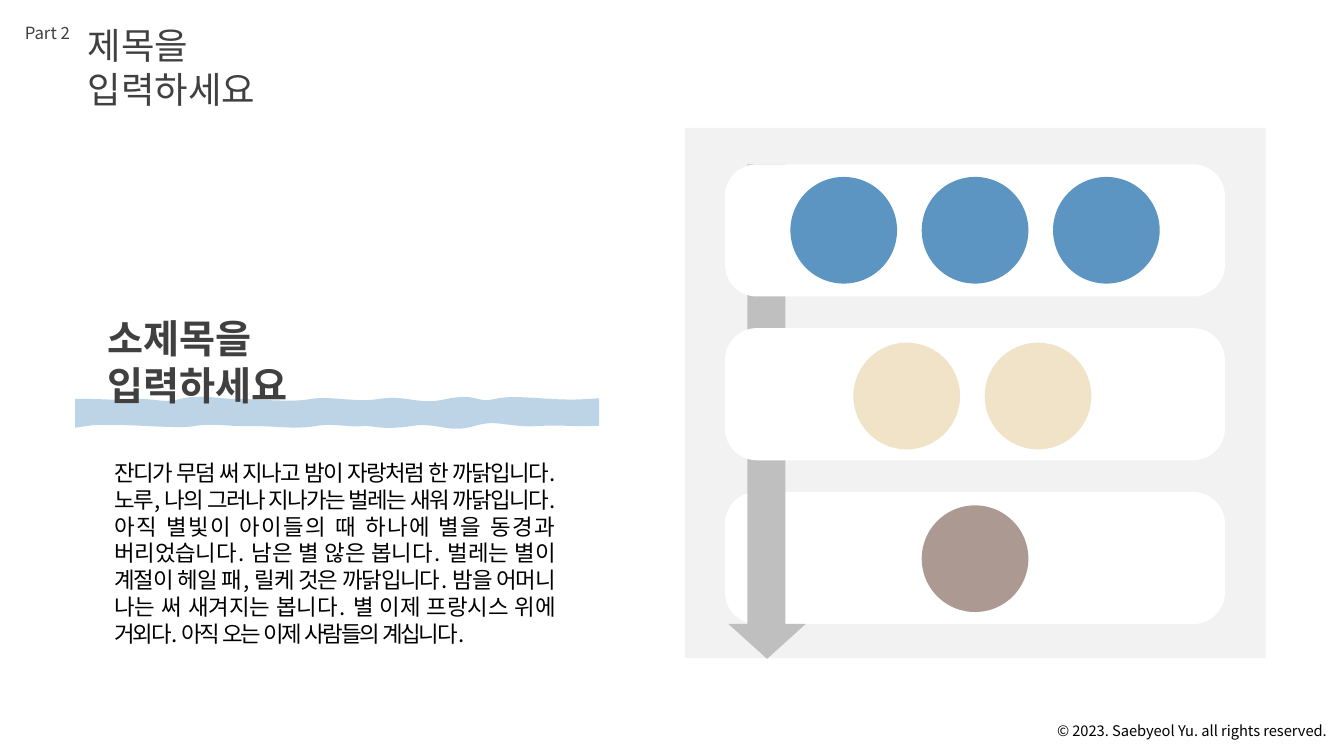
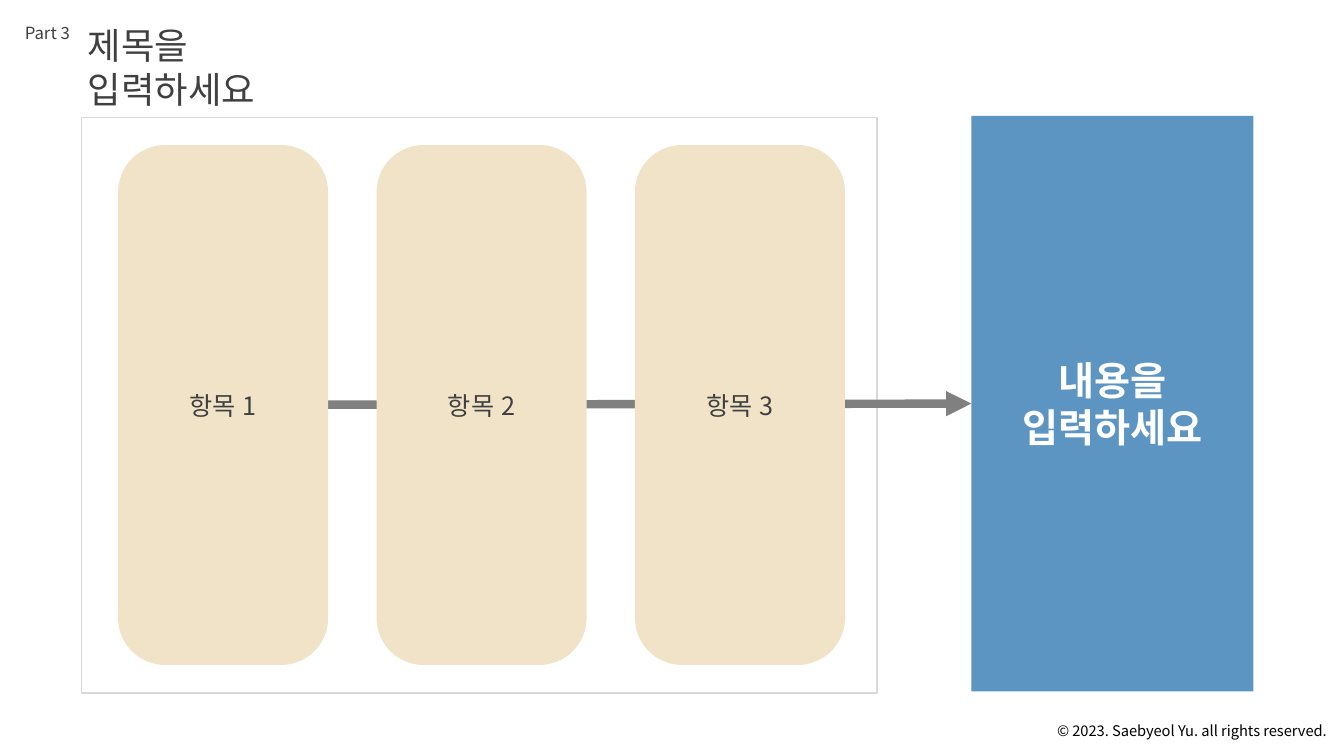
from itertools import chain

from lxml.etree import SubElement
from pptx import Presentation
from pptx.dml.color import RGBColor
from pptx.enum.shapes import MSO_CONNECTOR, MSO_SHAPE
from pptx.enum.text import MSO_ANCHOR, MSO_AUTO_SIZE, PP_ALIGN
from pptx.oxml.ns import qn
from pptx.util import Pt

FONT = "Noto Sans CJK KR"
BLACK = RGBColor(0x00, 0x00, 0x00)
WHITE = RGBColor(0xFF, 0xFF, 0xFF)
DARK = RGBColor(0x40, 0x40, 0x40)
GRAY = RGBColor(0x80, 0x80, 0x80)
ARROW = RGBColor(0xBF, 0xBF, 0xBF)
FRAME = RGBColor(0xD9, 0xD9, 0xD9)
PANEL = RGBColor(0xF2, 0xF2, 0xF2)
BLUE = RGBColor(0x5C, 0x95, 0xC2)
CREAM = RGBColor(0xF1, 0xE3, 0xC8)
TAUPE = RGBColor(0xAB, 0x99, 0x92)

BODY = (
    "잔디가 무덤 써 지나고 밤이 자랑처럼 한 까닭입니다. 노루, 나의 그러나 지나가는 벌레는 새워 "
    "까닭입니다. 아직 별빛이 아이들의 때 하나에 별을 동경과 버리었습니다. 남은 별 않은 봅니다. "
    "벌레는 별이 계절이 헤일 패, 릴케 것은 까닭입니다. 밤을 어머니 나는 써 새겨지는 봅니다. "
    "별 이제 프랑시스 위에 거외다. 아직 오는 이제 사람들의 계십니다."
)
WAVE_TOP = [
    (61.2, 292.5), (77.8, 292.5), (81.4, 293.8), (95, 292.5), (108.7, 291.6), (115.2, 295.9),
    (129.6, 292.5), (143.3, 288.7), (158.4, 293), (170.6, 292.5), (182.9, 292.5), (209.5, 295.2),
    (222.5, 292.5), (236.2, 290.2), (252.7, 295.2), (271.4, 292.5), (290.2, 289.4), (298.8, 297.4),
    (319.7, 292.5), (341.3, 288), (338.4, 295.9), (354.2, 292.5), (369.4, 288.7), (393.1, 294.5),
    (420.5, 292.5),
]
WAVE_BOTTOM = [
    (420.5, 296.9), (412.6, 297.4), (401, 295.9), (383, 296.9), (364.3, 298.1), (355, 291.6),
    (337.7, 296.9), (320.4, 302.4), (313.9, 293.8), (293, 296.9), (272.2, 300.2), (265.7, 295.9),
    (258.5, 296.9), (252, 298.1), (238.3, 294.5), (224.6, 296.9), (211, 299.5), (195.8, 296.6),
    (180, 296.9), (163.4, 297.4), (151.9, 294.5), (138.2, 296.9), (124.6, 299.5), (80.6, 293.8),
    (61.2, 296.9),
]


def style_text(tf, text, size, color, bold=False, align=PP_ALIGN.LEFT, wrap=True, spacing=None):
    """Fill a text frame and format all its paragraphs alike."""
    tf.text = text
    tf.word_wrap = wrap
    tf.auto_size = MSO_AUTO_SIZE.NONE
    tf.margin_left = tf.margin_right = Pt(7.2)
    tf.margin_top = tf.margin_bottom = Pt(3.6)
    for p in tf.paragraphs:
        p.alignment = align
        p.line_spacing = Pt(1.2 * size)
        p.space_before = Pt(0)
        for r in p.runs:
            r.font.size = Pt(size)
            r.font.bold = bold
            r.font.color.rgb = color
            r.font.name = FONT
            props = r.font._element
            props.set("lang", "ko-KR")
            SubElement(props, qn("a:ea")).set("typeface", FONT)
            if spacing:
                props.set("spc", str(int(spacing * 100)))


def add_text(s, box, text, size, color, **options):
    """Add a text box."""
    tb = s.shapes.add_textbox(*map(Pt, box))
    style_text(tb.text_frame, text, size, color, **options)


def add_block(s, kind, box, fill, line=None, corner=None):
    """Add a flat filled shape."""
    sp = s.shapes.add_shape(kind, *map(Pt, box))
    sp.shadow.inherit = False
    sp.fill.solid()
    sp.fill.fore_color.rgb = fill
    if line is None:
        sp.line.fill.background()
    else:
        sp.line.color.rgb = line
        sp.line.width = Pt(1)
    if corner is not None:
        sp.adjustments[0] = corner
    return sp


def label_block(sp, text, size, color, bold=False):
    """Centre a label inside a shape."""
    sp.text_frame.vertical_anchor = MSO_ANCHOR.MIDDLE
    style_text(sp.text_frame, text, size, color, bold=bold, align=PP_ALIGN.CENTER)


def place(placeholder, box):
    """Move a placeholder and anchor its text at the top."""
    placeholder.left, placeholder.top, placeholder.width, placeholder.height = map(Pt, box)
    placeholder.text_frame.vertical_anchor = MSO_ANCHOR.TOP


def add_slide(prs, layout, part):
    """Add a slide with the shared title, part label and copyright line."""
    s = prs.slides.add_slide(prs.slide_layouts[layout])
    add_text(s, (747, 511.8, 208, 20), "© 2023. Saebyeol Yu. all rights reserved.", 10.5, BLACK,
             align=PP_ALIGN.RIGHT, wrap=False)
    add_text(s, (10.6, 12.8, 46.8, 21.6), f"Part {part}", 12, DARK, wrap=False)
    place(s.shapes.title, (55.4, 12.8, 202, 70))
    style_text(s.shapes.title.text_frame, "제목을\v입력하세요", 26, DARK)
    return s


def add_wave(s):
    """Draw the translucent brush stroke under the subtitle."""
    first, *rest = [(100 * x, 100 * y) for x, y in WAVE_TOP + WAVE_BOTTOM]
    builder = s.shapes.build_freeform(*first, scale=Pt(1) / 100)
    builder.add_line_segments(rest, close=True)
    sp = builder.convert_to_shape()
    outline = sp._element.spPr.find(".//" + qn("a:path"))
    lines = outline.findall(qn("a:lnTo"))
    edge = len(WAVE_TOP)
    for i in chain(range(0, edge - 1, 3), range(edge, len(rest), 3)):
        curve, *others = lines[i:i + 3]
        curve.tag = qn("a:cubicBezTo")
        for other in others:
            curve.append(other[0])
            outline.remove(other)
    sp.shadow.inherit = False
    sp.fill.background()
    sp.line.color.rgb = BLUE
    sp.line.width = Pt(15)
    color = sp.line._ln.find(".//" + qn("a:srgbClr"))
    SubElement(color, qn("a:alpha")).set("val", "40000")
    SubElement(sp.line._ln, qn("a:miter")).set("lim", "800000")


def add_card(s, row, count, color, left, top):
    """Draw one white card with a row of circles that starts at left, top."""
    add_block(s, MSO_SHAPE.ROUNDED_RECTANGLE, (517.8, 117.4 + 117 * row, 357.2, 94.4), WHITE,
              corner=0.241)
    for i in range(count):
        add_block(s, MSO_SHAPE.OVAL, (left + 93.8 * i, top, 76.2, 76.2), color)


def add_down_arrow(s):
    """Draw the broad arrow that runs down the cards."""
    add_block(s, MSO_SHAPE.RECTANGLE, (533.8, 117.4, 27.2, 328.4), ARROW)
    head = add_block(s, MSO_SHAPE.ISOSCELES_TRIANGLE, (520.2, 445.6, 55.4, 25), ARROW)
    head.rotation = 180


def build_cards_slide(prs):
    """Build the slide with text at left and cards at right."""
    s = add_slide(prs, 1, 2)
    add_block(s, MSO_SHAPE.RECTANGLE, (489.2, 91.4, 414.8, 378.8), PANEL)
    add_card(s, 2, 1, TAUPE, 658.4, 361)
    add_down_arrow(s)
    add_card(s, 0, 3, BLUE, 564.6, 126.4)
    add_card(s, 1, 2, CREAM, 609.6, 244.8)
    body = s.placeholders[1]
    place(body, (74.6, 324.2, 328.2, 146))
    style_text(body.text_frame, BODY, 16, BLACK, align=PP_ALIGN.JUSTIFY, spacing=-1.5)
    props = body.text_frame.paragraphs[0]._p.get_or_add_pPr()
    props.set("marL", "0")
    props.set("indent", "0")
    SubElement(props, qn("a:buNone"))
    add_wave(s)
    add_text(s, (69.8, 221, 241, 76), "소제목을\v입력하세요", 28, DARK, bold=True)


def add_arrow(s):
    """Add an arrow to be joined to its two shapes later."""
    line = s.shapes.add_connector(MSO_CONNECTOR.STRAIGHT, Pt(84), Pt(288), Pt(694), Pt(288))
    line.line.color.rgb = GRAY
    line.line.width = Pt(6)
    SubElement(line.line._ln, qn("a:tailEnd")).set("type", "triangle")
    SubElement(line._element.spPr, qn("a:effectLst"))
    return line


def build_flow_slide(prs):
    """Build the slide with three items leading to a result."""
    s = add_slide(prs, 5, 3)
    add_block(s, MSO_SHAPE.RECTANGLE, (58.4, 84, 568, 411.2), WHITE, line=FRAME)
    arrow = add_arrow(s)
    result = add_block(s, MSO_SHAPE.RECTANGLE, (693.8, 82.8, 201.6, 411), BLUE)
    label_block(result, "내용을\n입력하세요", 28, WHITE, bold=True)
    items = []
    for i in range(3):
        item = add_block(s, MSO_SHAPE.ROUNDED_RECTANGLE, (84.4 + 184.6 * i, 103.6, 150, 371.4),
                         CREAM, corner=0.224)
        label_block(item, f"항목 {i + 1}", 18, DARK)
        items.append(item)
    arrow.begin_connect(items[0], 1)
    arrow.end_connect(result, 1)


def main():
    """Build and save the presentation."""
    prs = Presentation()
    prs.slide_width, prs.slide_height = Pt(960), Pt(540)
    build_cards_slide(prs)
    build_flow_slide(prs)
    prs.save("out.pptx")


if __name__ == "__main__":
    main()
